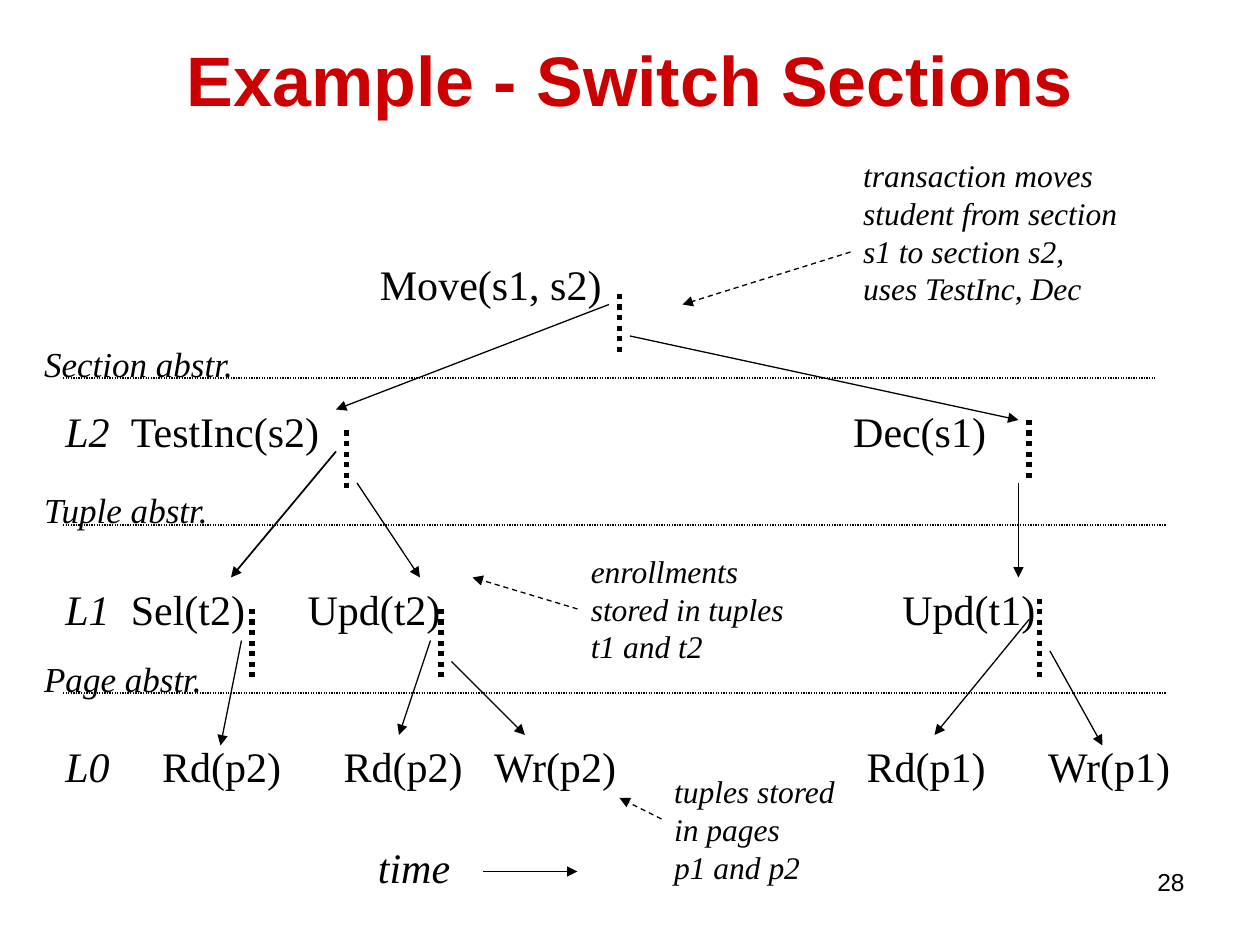
from dataclasses import dataclass

from lxml import etree
from pptx import Presentation
from pptx.dml.color import RGBColor
from pptx.enum.dml import MSO_LINE
from pptx.enum.shapes import MSO_CONNECTOR
from pptx.enum.text import MSO_ANCHOR, PP_ALIGN
from pptx.oxml.ns import qn
from pptx.util import Cm, Pt

LEFT, CENTER, RIGHT = PP_ALIGN.LEFT, PP_ALIGN.CENTER, PP_ALIGN.RIGHT
DOTS, DASHES = MSO_LINE.ROUND_DOT, MSO_LINE.DASH
STRAIGHT = MSO_CONNECTOR.STRAIGHT
GRID = Cm(2.54) / 12  # every line starts and ends on this grid


@dataclass(frozen=True)
class Theme:
    ink: RGBColor = RGBColor(0, 0, 0)
    title_ink: RGBColor = RGBColor(0xCC, 0, 0)
    body_font: str = "Times New Roman"
    title_font: str = "Arial"
    title_size: int = 40
    node_size: int = 24
    level_size: int = 20
    note_size: int = 18
    number_size: int = 14
    thin: float = 0.75
    medium: float = 1
    thick: float = 3


THEME = Theme()


@dataclass(frozen=True)
class Label:
    """Lines of text in one box; lengths in centimetres."""
    lines: tuple
    left: float
    top: float
    width: float
    height: float
    size: int
    italic: bool = True
    font: str = THEME.body_font
    align: PP_ALIGN = LEFT


@dataclass(frozen=True)
class Level:
    """A level name followed by (tab stop in centimetres, operation) pairs."""
    name: str
    top: float
    width: float
    operations: tuple


@dataclass(frozen=True)
class Line:
    """A line between two grid points."""
    start: tuple
    end: tuple
    width: float = THEME.thin
    dash: MSO_LINE = None
    arrow: bool = True


LEVELS = (
    Level("L2", 8.05, 19.4, ((1.32, "TestInc(s2)"), (15.88, "Dec(s1)"))),
    Level("L1", 11.63, 20.3, ((1.32, "Sel(t2)"), (4.88, "Upd(t2)"), (16.87, "Upd(t1)"))),
    Level("L0", 14.81, 23.2, ((1.95, "Rd(p2)"), (5.61, "Rd(p2)"), (8.64, "Wr(p2)"),
                              (16.15, "Rd(p1)"), (19.81, "Wr(p1)"))),
)

LABELS = (
    Label(("Move(s1, s2)",), 7.41, 5.08, 5.2, 1.27, THEME.node_size, italic=False),
    Label(("time",), 7.37, 16.84, 2.2, 1.27, THEME.node_size),
    Label(("transaction moves", "student from section", "s1 to section s2,",
           "uses TestInc, Dec"), 17.15, 3.02, 6, 3.3, THEME.note_size),
    Label(("enrollments", "stored in tuples", "t1 and t2"),
          11.66, 11, 4.7, 2.54, THEME.note_size),
    Label(("tuples stored", "in pages", "p1 and p2"),
          13.34, 15.44, 4.2, 2.54, THEME.note_size),
    Label(("28",), 18.21, 17.35, 5.92, 1.32, THEME.number_size,
          italic=False, font=THEME.title_font, align=RIGHT),
) + tuple(
    Label((name,), 0.64, top, 4.6, 1.12, THEME.level_size)
    for name, top in (("Section abstr.", 6.78), ("Tuple abstr.", 9.73), ("Page abstr.", 13.13))
)

CALLS = (
    Line((60, 32), (97, 40)), Line((58, 29), (32, 39)),
    Line((32, 43), (22, 55), THEME.medium), Line((34, 46), (40, 55)),
    Line((97, 46), (97, 55)),
    Line((23, 61), (21, 71)), Line((41, 61), (38, 70)), Line((43, 63), (50, 70)),
    Line((98, 59), (89, 70)), Line((100, 62), (105, 71)),
)
TIME_ARROW = Line((46, 83), (55, 83))
NOTE_ARROWS = tuple(
    Line(start, end, dash=DASHES)
    for start, end in (((81, 24), (65, 29)), ((55, 58), (45, 55)), ((63, 78), (59, 76)))
)
BORDERS = tuple(
    Line((6, row), (end, row), dash=DOTS, arrow=False)
    for row, end in ((36, 110), (50, 111), (66, 111))
)
DURATIONS = tuple(
    Line((column, first), (column, last), THEME.thick, DOTS, False)
    for column, first, last in ((59, 28, 34), (33, 41, 47), (98, 40, 46),
                                (24, 58, 65), (42, 58, 65), (99, 57, 65))
)


def style(para, size: int, font: str, color: RGBColor, italic: bool = False) -> None:
    para.font.size = Pt(size)
    para.font.name = font
    para.font.color.rgb = color
    para.font.italic = italic


def add_box(page, left: float, top: float, width: float, height: float):
    box = page.shapes.add_textbox(Cm(left), Cm(top), Cm(width), Cm(height))
    box.text_frame.word_wrap = True
    return box.text_frame


def add_label(page, label: Label) -> None:
    frame = add_box(page, label.left, label.top, label.width, label.height)
    frame.text = "\n".join(label.lines)
    for para in frame.paragraphs:
        para.alignment = label.align
        style(para, label.size, label.font, THEME.ink, label.italic)


def add_level(page, level: Level) -> None:
    para = add_box(page, 1.07, level.top, level.width, 1.27).paragraphs[0]
    stops = etree.SubElement(para._p.get_or_add_pPr(), qn("a:tabLst"))
    for position, _ in level.operations:
        etree.SubElement(stops, qn("a:tab"), pos=str(int(Cm(position))), algn="l")
    style(para, THEME.node_size, THEME.body_font, THEME.ink)
    name = para.add_run()
    name.text = level.name
    name.font.italic = True
    para.add_run().text = "".join("\t" + operation for _, operation in level.operations)


def add_line(page, line: Line) -> None:
    points = [round(step * GRID) for step in line.start + line.end]
    connector = page.shapes.add_connector(STRAIGHT, *points)
    connector.line.color.rgb = THEME.ink
    connector.line.width = Pt(line.width)
    if line.dash is not None:
        connector.line.dash_style = line.dash
    if line.arrow:
        etree.SubElement(connector.line._get_or_add_ln(), qn("a:tailEnd"), type="triangle")
    etree.SubElement(connector._element.spPr, qn("a:effectLst"))


def add_title(page, text: str) -> None:
    title = page.shapes.title
    title.left, title.top, title.width, title.height = Cm(1.9), Cm(0), Cm(21.6), Cm(3.18)
    title.text_frame.text = text
    title.text_frame.vertical_anchor = MSO_ANCHOR.MIDDLE
    para = title.text_frame.paragraphs[0]
    para.alignment = CENTER
    style(para, THEME.title_size, THEME.title_font, THEME.title_ink)
    para.font.bold = True


def main() -> None:
    deck = Presentation()
    deck.slide_width, deck.slide_height = Cm(25.4), Cm(19.05)
    page = deck.slides.add_slide(deck.slide_layouts.get_by_name("Title Only"))
    add_title(page, "Example - Switch Sections")
    for level in LEVELS:
        add_level(page, level)
    for label in LABELS:
        add_label(page, label)
    for line in (*BORDERS, *DURATIONS, *CALLS, *NOTE_ARROWS, TIME_ARROW):
        add_line(page, line)
    deck.save("out.pptx")


if __name__ == "__main__":
    main()
